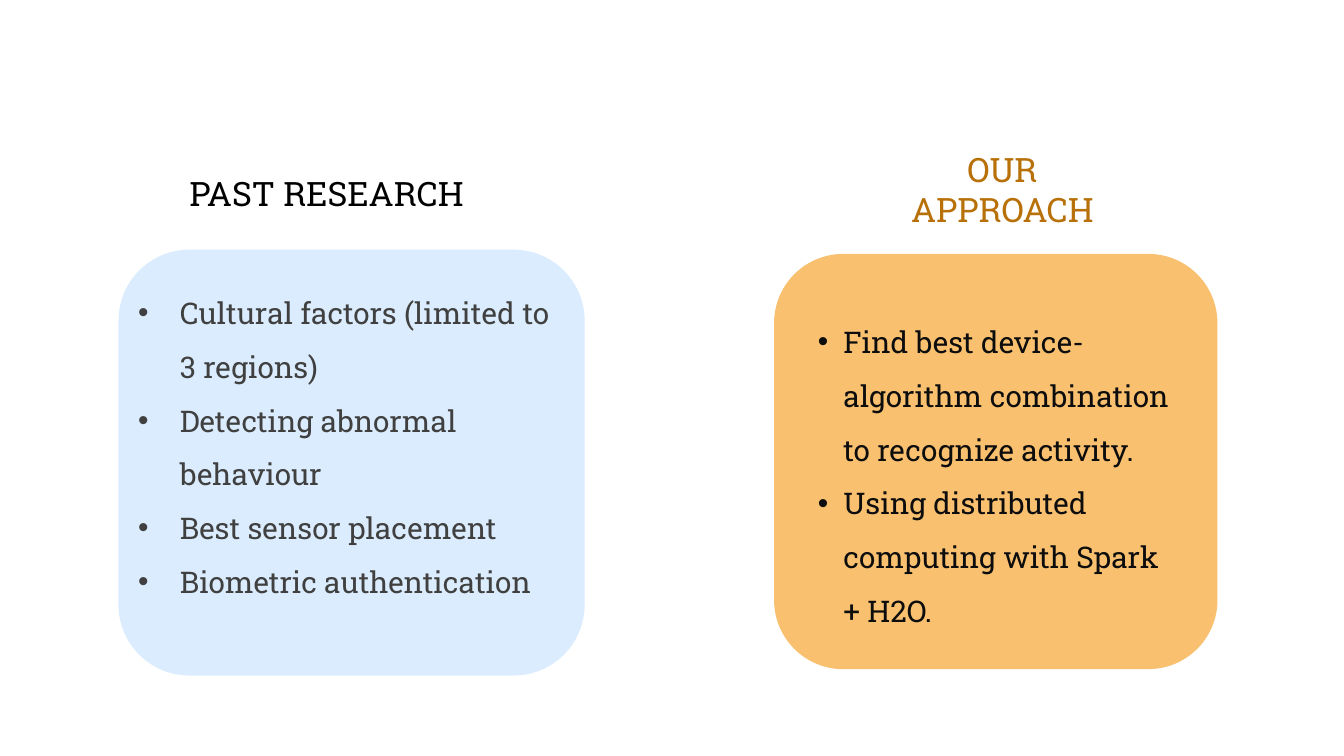
"""Build a slide that sets past research beside our approach."""
from lxml.etree import SubElement
from pptx import Presentation
from pptx.dml.color import RGBColor
from pptx.enum.shapes import MSO_SHAPE
from pptx.enum.text import MSO_AUTO_SIZE, PP_ALIGN
from pptx.oxml.ns import qn
from pptx.util import Cm, Pt

FONT = "Roboto Slab"
COLORS = {
    "past_card": "DAECFD",
    "past_heading": "000000",
    "past_text": "404040",
    "our_card": "F8C06F",
    "our_heading": "B87109",
    "our_text": "0D0D0D",
}
COLUMNS = [
    {
        "name": "past",
        "card": (2.24, 4.72, 8.81, 8.05),
        "heading_box": (3.33, 3.15, 6.17, 1.02),
        "heading": "PAST RESEARCH",
        "align": PP_ALIGN.LEFT,
        "list_box": (2.36, 5.11, 8.38, 7.32),
        "indent": 0.79,
        "items": [
            "Cultural factors (limited to 3 regions)",
            "Detecting abnormal behaviour",
            "Best sensor placement",
            "Biometric authentication",
        ],
    },
    {
        "name": "our",
        "card": (14.63, 4.8, 8.38, 7.85),
        "heading_box": (16.76, 2.69, 4.37, 1.8),
        "heading": "OUR APPROACH",
        "align": PP_ALIGN.CENTER,
        "list_box": (15.21, 5.66, 7.21, 6.3),
        "indent": 0.48,
        "items": [
            "Find best device-algorithm combination to recognize activity.",
            "Using distributed computing with Spark + H2O.",
        ],
    },
]


def add_text_frame(slide, box):
    text_frame = slide.shapes.add_textbox(*map(Cm, box)).text_frame
    text_frame.word_wrap = True
    text_frame.auto_size = MSO_AUTO_SIZE.SHAPE_TO_FIT_TEXT
    return text_frame


def add_run(paragraph, text, size, color):
    run = paragraph.add_run()
    run.text = text
    run.font.name = FONT
    run.font.size = Pt(size)
    run.font.color.rgb = RGBColor.from_string(color)


presentation = Presentation()
presentation.slide_width = Cm(25.4)
presentation.slide_height = Cm(14.29)
slide = presentation.slides.add_slide(presentation.slide_layouts[6])

for column in COLUMNS:
    card = slide.shapes.add_shape(MSO_SHAPE.ROUNDED_RECTANGLE, *map(Cm, column["card"]))
    card.shadow.inherit = False
    card.fill.solid()
    card.fill.fore_color.rgb = RGBColor.from_string(COLORS[column["name"] + "_card"])
    card.line.fill.background()

for column in COLUMNS:
    heading = add_text_frame(slide, column["heading_box"]).paragraphs[0]
    heading.alignment = column["align"]
    add_run(heading, column["heading"], 18, COLORS[column["name"] + "_heading"])

for column in COLUMNS:
    text_frame = add_text_frame(slide, column["list_box"])
    for index, item in enumerate(column["items"]):
        paragraph = text_frame.add_paragraph() if index else text_frame.paragraphs[0]
        properties = paragraph._p.get_or_add_pPr()
        properties.set("marL", str(Cm(column["indent"])))
        properties.set("indent", str(-Cm(column["indent"])))
        SubElement(properties, qn("a:buFont"), typeface="Arial")
        SubElement(properties, qn("a:buChar"), char="•")
        paragraph.line_spacing = 1.5
        add_run(paragraph, item, 16, COLORS[column["name"] + "_text"])

presentation.save("out.pptx")
